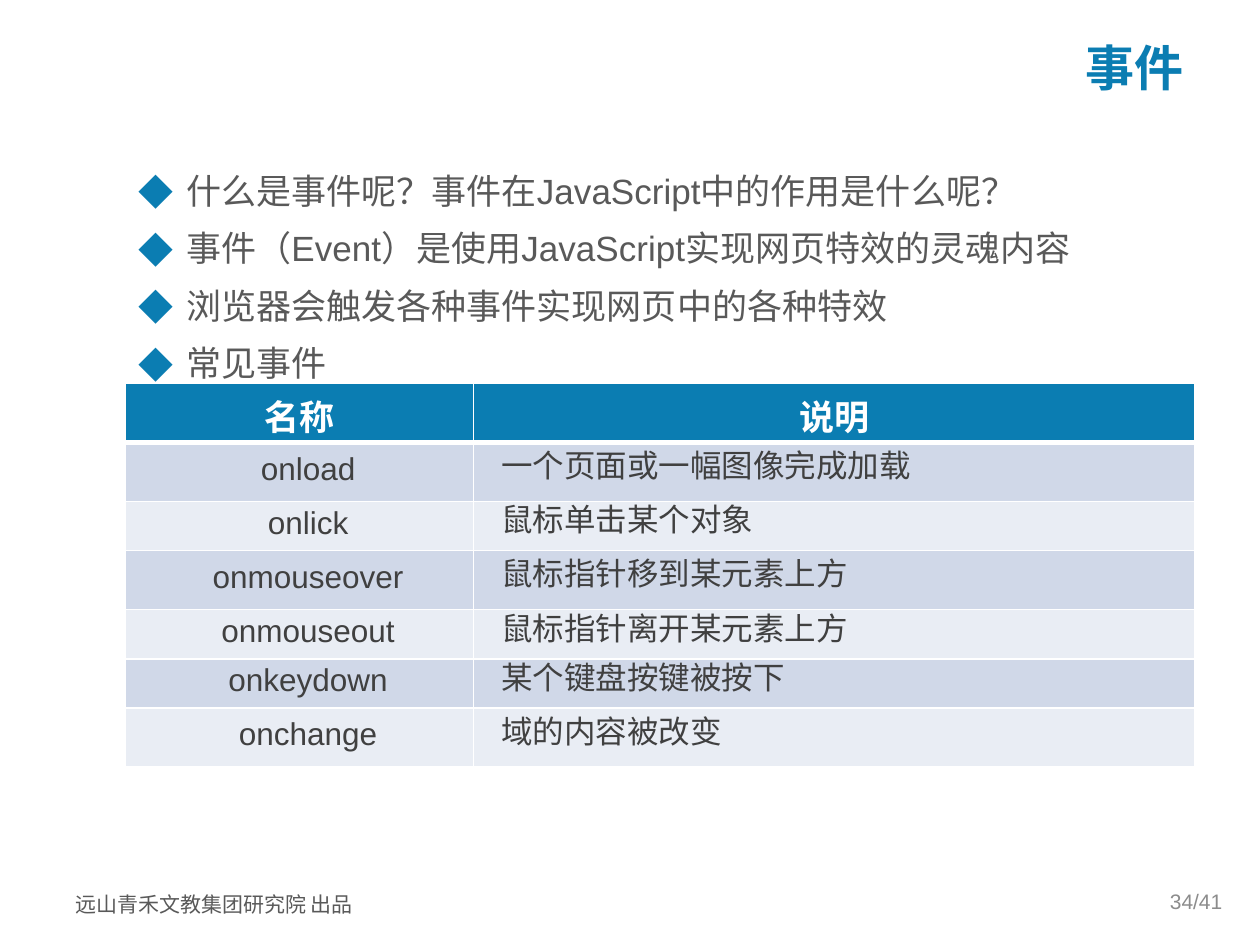
from lxml import etree
from pptx import Presentation
from pptx import util as u
from pptx.dml.color import RGBColor
from pptx.enum import text as t
from pptx.oxml import ns

BLUE = RGBColor(0x0B, 0x7D, 0xB2)
WHITE = RGBColor(0xFF, 0xFF, 0xFF)
BODY_GRAY = RGBColor(0x59, 0x59, 0x59)
CELL_GRAY = RGBColor(0x40, 0x40, 0x40)
PAGE_GRAY = RGBColor(0x8C, 0x8C, 0x8C)
BANDS = (RGBColor(0xD0, 0xD8, 0xE8), RGBColor(0xE9, 0xED, 0xF4))
LATIN = "Arial"
CHINESE = "Noto Sans CJK SC"

BULLETS = (
    "什么是事件呢？事件在JavaScript中的作用是什么呢？",
    "事件（Event）是使用JavaScript实现网页特效的灵魂内容",
    "浏览器会触发各种事件实现网页中的各种特效",
    "常见事件",
)
EVENTS = (
    ("名称", "说明"),
    ("onload", "一个页面或一幅图像完成加载"),
    ("onlick", "鼠标单击某个对象"),
    ("onmouseover", "鼠标指针移到某元素上方"),
    ("onmouseout", "鼠标指针离开某元素上方"),
    ("onkeydown", "某个键盘按键被按下"),
    ("onchange", "域的内容被改变"),
)
COLUMN_WIDTHS = (2.77, 5.72)
ROW_HEIGHTS = (0.47, 0.47, 0.39, 0.47, 0.39, 0.39, 0.47)


def add_child(parent, tag, **attributes):
    return etree.SubElement(parent, ns.qn(tag), **attributes)


def place(shape, left, top, width, height):
    shape.left, shape.top = u.Inches(left), u.Inches(top)
    shape.width, shape.height = u.Inches(width), u.Inches(height)


def format_runs(paragraph, size, color, bold=False, font=LATIN):
    for run in paragraph.runs:
        run.font.name = font
        run.font.size = u.Pt(size)
        run.font.bold = bold
        run.font.color.rgb = color
        add_child(run.font._element, "a:ea", typeface=CHINESE)


def add_title(slide, title):
    shape = slide.shapes.title
    place(shape, 1, 0.31, 8.49, 0.45)
    frame = shape.text_frame
    frame.text = title
    frame.vertical_anchor = t.MSO_ANCHOR.MIDDLE
    paragraph = frame.paragraphs[0]
    paragraph.alignment = t.PP_ALIGN.RIGHT
    format_runs(paragraph, 28, BLUE, bold=True)


def add_text_box(slide, *box):
    frame = slide.shapes.add_textbox(*map(u.Inches, box)).text_frame
    frame.word_wrap = True
    return frame


def set_bullet(paragraph):
    """Hang a blue diamond in front of the paragraph."""
    properties = paragraph._p.get_or_add_pPr()
    indent = u.Inches(0.38)
    properties.set("marL", str(indent))
    properties.set("indent", str(-indent))
    color = add_child(properties, "a:buClr")
    add_child(color, "a:srgbClr", val=str(BLUE))
    add_child(properties, "a:buFont", typeface=CHINESE)
    add_child(properties, "a:buChar", char="◆")


def add_bullets(slide):
    frame = add_text_box(slide, 1, 1.23, 8.49, 4.72)
    frame.text = "\n".join(BULLETS)
    for paragraph in frame.paragraphs:
        paragraph.line_spacing = 1.2
        paragraph.space_before = u.Pt(4)
        set_bullet(paragraph)
        format_runs(paragraph, 20, BODY_GRAY)


def set_borders(cell, bottom_width):
    """Draw white cell borders; they must precede the fill in the XML."""
    properties = cell._tc.get_or_add_tcPr()
    for index, side in enumerate(("a:lnL", "a:lnR", "a:lnT", "a:lnB")):
        width = bottom_width if side == "a:lnB" else 1
        line = etree.Element(ns.qn(side), w=str(u.Pt(width)))
        fill = add_child(line, "a:solidFill")
        add_child(fill, "a:srgbClr", val=str(WHITE))
        properties.insert(index, line)


def fill_cell(cell, words, row, column):
    is_header = row == 0
    cell.text = words
    cell.vertical_anchor = t.MSO_ANCHOR.MIDDLE
    cell.margin_left = cell.margin_right = u.Inches(0.1 if is_header else 0.08)
    cell.margin_top = cell.margin_bottom = u.Inches(0.05 if is_header else 0)
    cell.fill.solid()
    cell.fill.fore_color.rgb = BLUE if is_header else BANDS[(row - 1) % 2]
    set_borders(cell, 3 if is_header else 1)

    paragraph = cell.text_frame.paragraphs[0]
    centred = is_header or column == 0
    paragraph.alignment = t.PP_ALIGN.CENTER if centred else t.PP_ALIGN.LEFT
    if is_header:
        format_runs(paragraph, 20, WHITE, bold=True)
    else:
        paragraph.line_spacing = u.Pt(17)
        paragraph._p.get_or_add_pPr().set("indent", str(u.Inches(0.14)))
        format_runs(paragraph, 18, CELL_GRAY)


def add_event_table(slide):
    box = map(u.Inches, (0.99, 3.04, sum(COLUMN_WIDTHS), sum(ROW_HEIGHTS)))
    table = slide.shapes.add_table(len(EVENTS), len(COLUMN_WIDTHS), *box).table
    for column, width in zip(table.columns, COLUMN_WIDTHS):
        column.width = u.Inches(width)
    for row, height in zip(table.rows, ROW_HEIGHTS):
        row.height = u.Inches(height)
    for row, event in enumerate(EVENTS):
        for column, words in enumerate(event):
            fill_cell(table.cell(row, column), words, row, column)


def add_footer(slide):
    frame = add_text_box(slide, 0.5, 6.99, 2.53, 0.34)
    frame.text = "远山青禾文教集团研究院 出品"
    frame.paragraphs[0].line_spacing = 1.2
    format_runs(frame.paragraphs[0], 12, BODY_GRAY, font=CHINESE)


def add_page_number(slide):
    frame = add_text_box(slide, 7.47, 6.95, 2.33, 0.4)
    frame.text = "34/41"
    frame.vertical_anchor = t.MSO_ANCHOR.MIDDLE
    frame.paragraphs[0].alignment = t.PP_ALIGN.RIGHT
    format_runs(frame.paragraphs[0], 12, PAGE_GRAY)


def main():
    presentation = Presentation()
    presentation.slide_width = u.Inches(10)
    presentation.slide_height = u.Inches(7.5)
    slide = presentation.slides.add_slide(presentation.slide_layouts[5])
    add_footer(slide)
    add_title(slide, "事件")
    add_bullets(slide)
    add_event_table(slide)
    add_page_number(slide)
    presentation.save("out.pptx")


if __name__ == "__main__":
    main()
